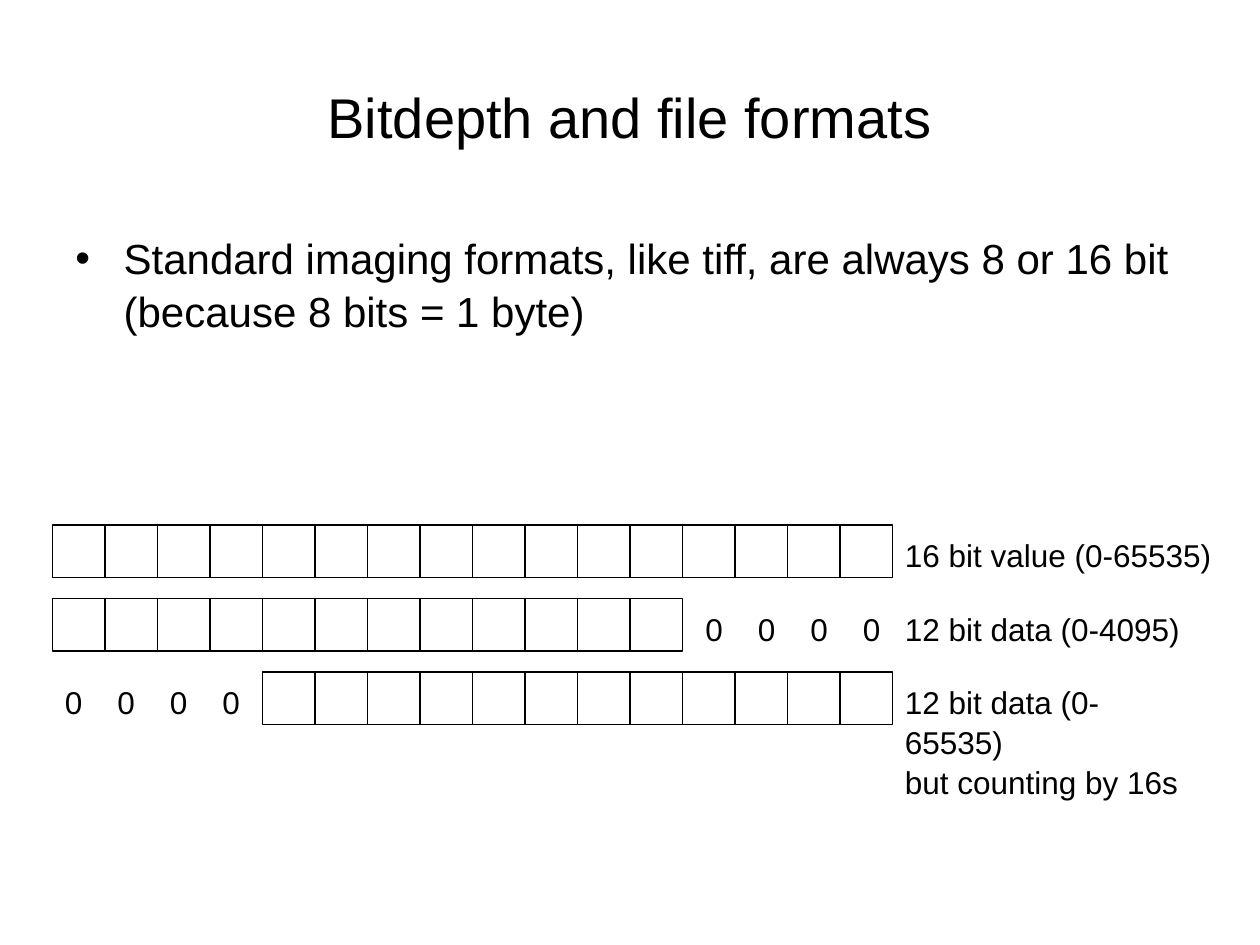
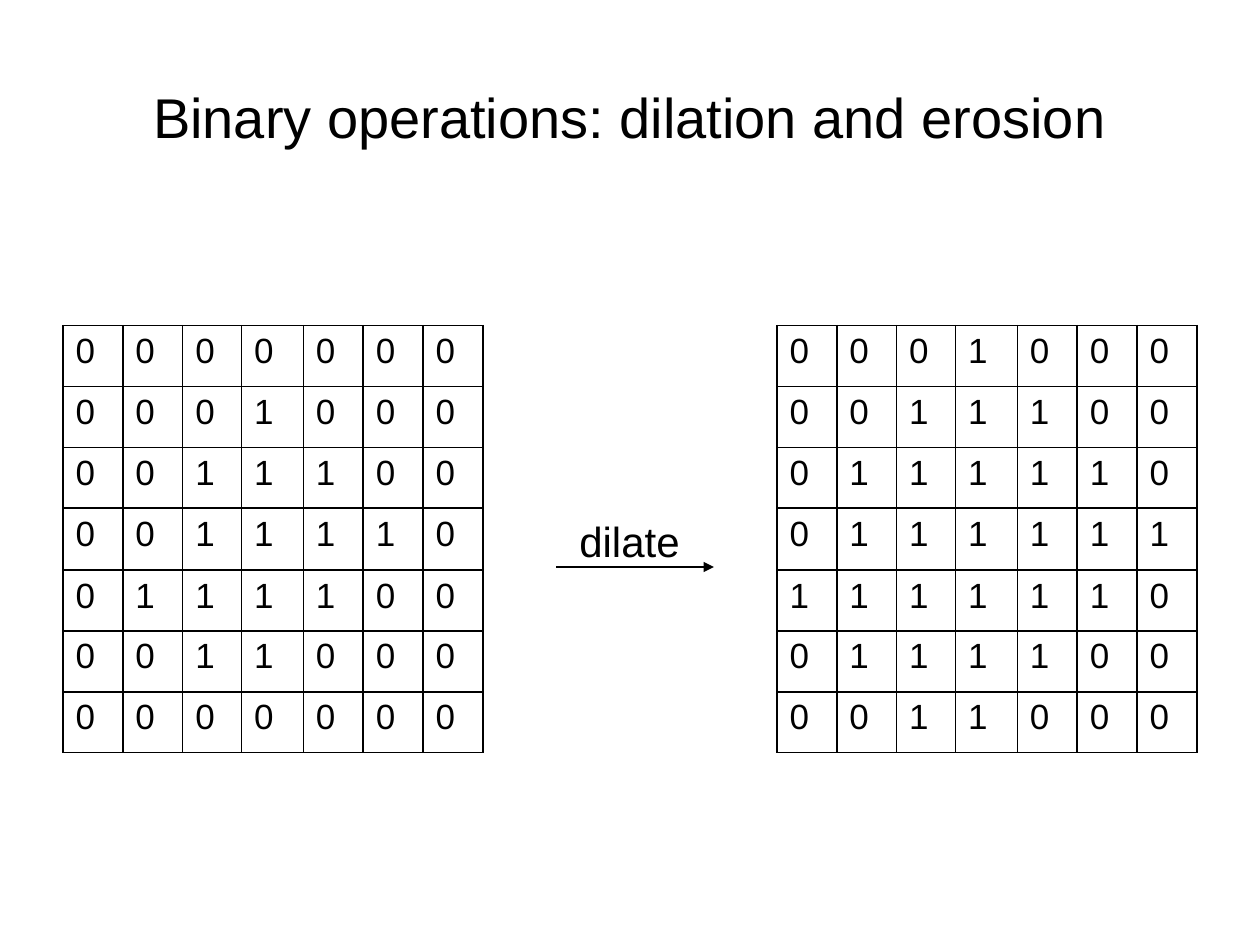
from lxml import etree
from pptx import Presentation
from pptx.dml.color import RGBColor
from pptx.enum.shapes import MSO_CONNECTOR, MSO_SHAPE
from pptx.enum.text import MSO_ANCHOR, MSO_AUTO_SIZE, PP_ALIGN
from pptx.oxml.ns import qn
from pptx.util import Emu, Pt

BIT_DEPTH_TITLE = "Bitdepth and file formats"
FORMAT_NOTE = "Standard imaging formats, like tiff, are always 8 or 16 bit (because 8 bits = 1 byte)"
BIT_ROWS = [
    {"bits": "□" * 16, "label": ["16 bit value (0-65535)"], "size": (316, 48)},
    {"bits": "□" * 12 + "0000", "label": ["12 bit data (0-4095)"], "size": (286, 48)},
    {"bits": "0000" + "□" * 12, "label": ["12 bit data (0-65535)", "but counting by 16s"],
     "size": (302, 84)},
]
MORPHOLOGY_TITLE = "Binary operations: dilation and erosion"
OPERATION = "dilate"
BEFORE = ["0000000", "0001000", "0011100", "0011110", "0111100", "0011000", "0000000"]
AFTER = ["0001000", "0011100", "0111110", "0111111", "1111110", "0111100", "0011000"]

BLACK = RGBColor(0, 0, 0)
FONT = "Arial"
RECTANGLE = MSO_SHAPE.RECTANGLE
STRAIGHT = MSO_CONNECTOR.STRAIGHT
MIDDLE = MSO_ANCHOR.MIDDLE
CENTER = PP_ALIGN.CENTER
GROW = MSO_AUTO_SIZE.SHAPE_TO_FIT_TEXT

PX = 7620
SLIDE_SIZE = (1200, 900)
TITLE_BOX = (60, 36, 1080, 150)
NOTE_BOX = (60, 210, 1080, 594)
NOTE_INDENT = 46
BIT, BITS_LEFT, BITS_TOP, ROW_PITCH = 50, 50, 500, 70
TRAILING_ZERO_SHIFT = 10
ZERO_SIZE = (41, 48)
LABEL_LEFT = BITS_LEFT + 16 * BIT
GRID_TOP, BEFORE_LEFT, AFTER_LEFT = 310, 60, 740
GRID_COLUMNS = [57, 57, 56, 59, 57, 57, 57]
GRID_ROWS = [58, 58, 58, 59, 58, 58, 58]
OPERATION_BOX = (540, 480, 120, 60)
ARROW = (530, 540, 680, 540)
TEXT_TOP_INSET = 9
LINE_SPACING = 1.05


def px(*lengths):
    return [Emu(length * PX) for length in lengths]


def set_all(target, values):
    for attribute, value in values.items():
        setattr(target, attribute, value)


def write(paragraph, text, size):
    run = paragraph.add_run()
    run.text = text
    set_all(run.font, {"name": FONT, "size": Pt(size)})
    run.font.color.rgb = BLACK


def add_titled_slide(deck, text):
    slide = deck.slides.add_slide(deck.slide_layouts[5])
    title = slide.shapes.title
    set_all(title, dict(zip(("left", "top", "width", "height"), px(*TITLE_BOX))))
    title.text_frame.vertical_anchor = MIDDLE
    heading = title.text_frame.paragraphs[0]
    heading.alignment = CENTER
    write(heading, text, 32)
    return slide


def add_text(slide, box, lines, size, wrap=False):
    frame = slide.shapes.add_textbox(*px(*box)).text_frame
    set_all(frame, {"word_wrap": wrap, "margin_top": Emu(TEXT_TOP_INSET * PX)})
    if not wrap:
        frame.auto_size = GROW
    for index, line in enumerate(lines):
        paragraph = frame.add_paragraph() if index else frame.paragraphs[0]
        paragraph.line_spacing = LINE_SPACING
        write(paragraph, line, size)
    return frame


def add_bulleted_note(slide):
    note = add_text(slide, NOTE_BOX, [FORMAT_NOTE], 24, wrap=True)
    properties = note.paragraphs[0]._p.get_or_add_pPr()
    properties.set("marL", str(NOTE_INDENT * PX))
    properties.set("indent", str(-NOTE_INDENT * PX))
    etree.SubElement(properties, qn("a:buFont")).set("typeface", FONT)
    etree.SubElement(properties, qn("a:buChar")).set("char", "•")


def add_bit_row(slide, row, top):
    for column, bit in enumerate(row["bits"]):
        left = BITS_LEFT + column * BIT
        if bit == "0":
            shift = TRAILING_ZERO_SHIFT if column >= 12 else 0
            add_text(slide, (left + shift, top, *ZERO_SIZE), [bit], 18)
            continue
        square = slide.shapes.add_shape(RECTANGLE, *px(left, top, BIT, BIT))
        square.shadow.inherit = False
        square.fill.background()
        square.line.color.rgb = BLACK
        square.line.width = Pt(0.75)
    add_text(slide, (LABEL_LEFT, top, *row["size"]), row["label"], 18)


def outline_cell(cell):
    properties = cell._tc.get_or_add_tcPr()
    for side in "LRTB":
        border = etree.SubElement(properties, qn(f"a:ln{side}"), w=str(Pt(1)))
        fill = etree.SubElement(border, qn("a:solidFill"))
        etree.SubElement(fill, qn("a:srgbClr"), val=str(BLACK))
    cell.fill.background()


def add_grid(slide, left, values):
    box = px(left, GRID_TOP, sum(GRID_COLUMNS), sum(GRID_ROWS))
    grid = slide.shapes.add_table(len(GRID_ROWS), len(GRID_COLUMNS), *box).table
    set_all(grid, {"first_row": False, "horz_banding": False})
    for column, width in zip(grid.columns, px(*GRID_COLUMNS)):
        column.width = width
    for row, height, digits in zip(grid.rows, px(*GRID_ROWS), values):
        row.height = height
        for cell, digit in zip(row.cells, digits):
            write(cell.text_frame.paragraphs[0], digit, 20)
            outline_cell(cell)


def add_arrow(slide):
    arrow = slide.shapes.add_connector(STRAIGHT, *px(*ARROW))
    arrow.line.color.rgb = BLACK
    arrow.line.width = Pt(0.75)
    etree.SubElement(arrow.line._get_or_add_ln(), qn("a:tailEnd"), type="triangle")
    etree.SubElement(arrow._element.spPr, qn("a:effectLst"))


def main():
    deck = Presentation()
    deck.slide_width, deck.slide_height = px(*SLIDE_SIZE)

    bit_depth = add_titled_slide(deck, BIT_DEPTH_TITLE)
    add_bulleted_note(bit_depth)
    for index, row in enumerate(BIT_ROWS):
        add_bit_row(bit_depth, row, BITS_TOP + index * ROW_PITCH)

    morphology = add_titled_slide(deck, MORPHOLOGY_TITLE)
    for left, values in ((BEFORE_LEFT, BEFORE), (AFTER_LEFT, AFTER)):
        add_grid(morphology, left, values)
    add_text(morphology, OPERATION_BOX, [OPERATION], 24)
    add_arrow(morphology)

    deck.save("out.pptx")


if __name__ == "__main__":
    main()
